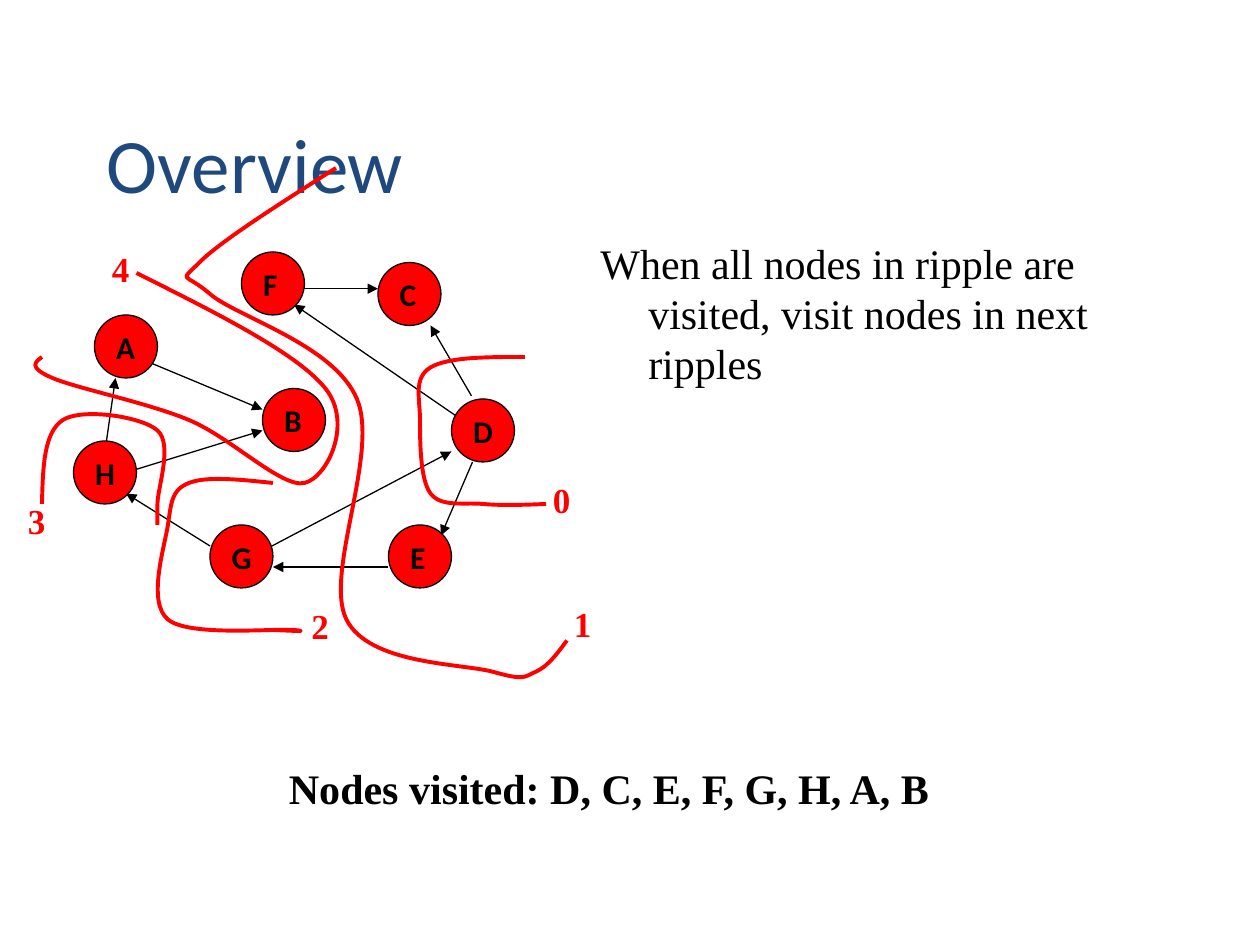
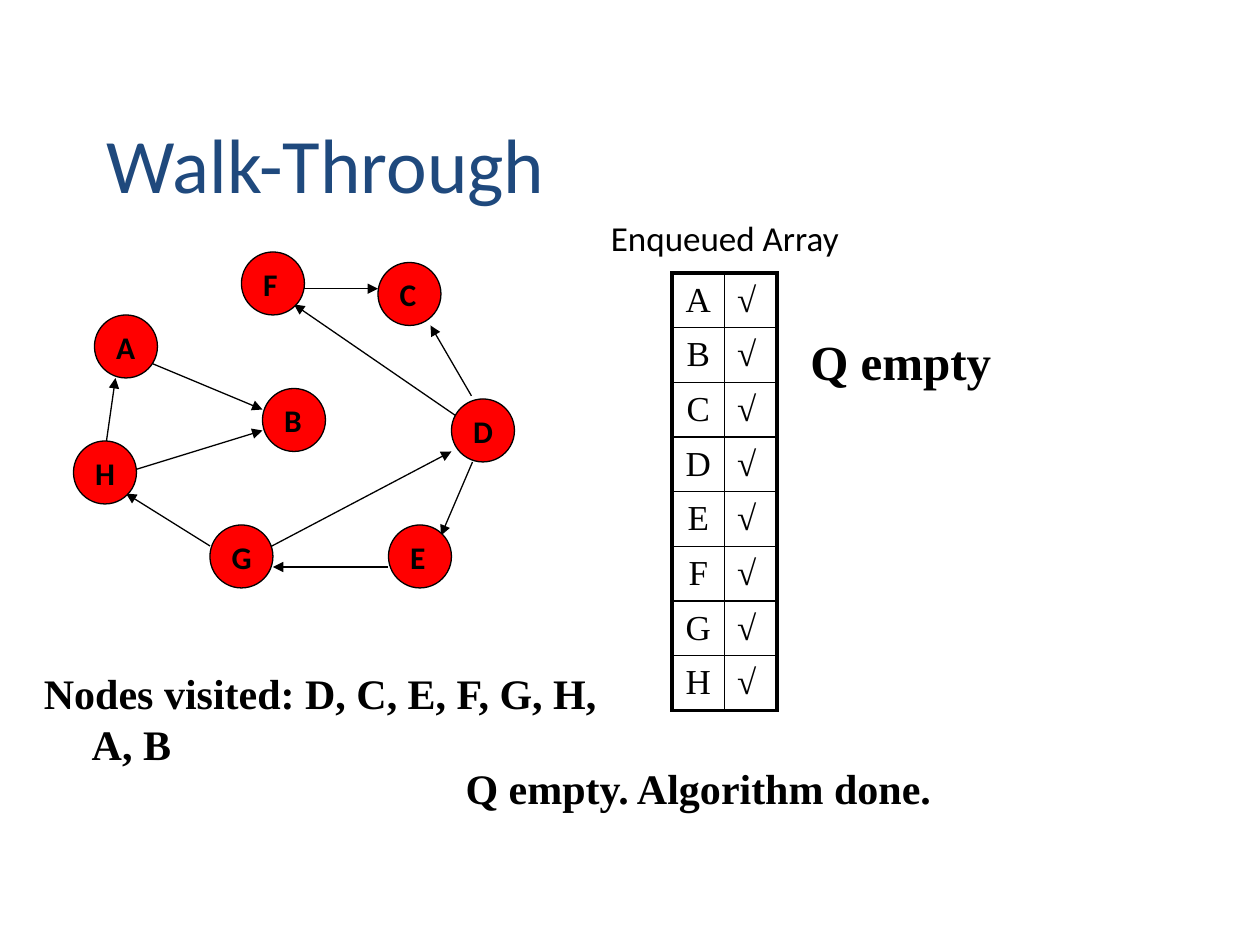
from dataclasses import dataclass

from lxml import etree
from pptx import Presentation
from pptx.dml.color import RGBColor
from pptx.enum.shapes import MSO_CONNECTOR, MSO_SHAPE
from pptx.enum.text import MSO_ANCHOR, PP_ALIGN
from pptx.oxml.ns import qn
from pptx.util import Inches, Pt

BLACK = RGBColor(0x00, 0x00, 0x00)
RED = RGBColor(0xFF, 0x00, 0x00)
TITLE_BLUE = RGBColor(0x1F, 0x49, 0x7D)
SANS, SERIF = "Calibri", "Times New Roman"
OVAL, STRAIGHT = MSO_SHAPE.OVAL, MSO_CONNECTOR.STRAIGHT
MIDDLE, TOP = MSO_ANCHOR.MIDDLE, MSO_ANCHOR.TOP
LEFT, CENTER = PP_ALIGN.LEFT, PP_ALIGN.CENTER

WIDTH, HEIGHT = Inches(10), Inches(7.5)
COLUMNS, ROWS = 120, 90
NODE_SIZE = 6
HANGING = Inches(0.38)
THIN, THICK = Pt(1), Pt(2.25)

NODES = {
    "A": (9, 14), "H": (7, 26), "B": (25, 21), "F": (23, 8),
    "E": (37, 34), "D": (43, 22), "C": (36, 9), "G": (20, 34),
}
EDGES = [
    ((44, 24), (28, 13)), ((45, 28), (42, 35)), ((12, 29), (25, 25)),
    ((24, 37), (43, 27)), ((10, 27), (11, 20)), ((13, 18), (25, 23)),
    ((44.9, 21.7), (41, 15)), ((37, 38), (26, 38)),
    ((20, 36), (12, 31)), ((29, 11.5), (36, 11.5)),
]
RIPPLES = {
    "0": ((51, 29), [(50, 18), (41, 19), (40, 24), (41, 31), (46, 32), (52, 32)]),
    "1": ((53, 40.8), [(32, 0), (19, 9), (20, 12), (34, 22), (33, 43),
                       (47, 48), (51, 48), (54, 45)]),
    "2": ((28, 41), [(26, 30), (18, 30), (16, 34), (16, 43), (28, 44), (26, 44)]),
    "3": ((1, 31), [(4, 32), (6, 24), (15, 25), (15, 32), (15, 34)]),
    "4": ((9, 7), [(13, 10), (31, 21), (29, 30), (18, 24), (5, 20), (4, 18)]),
}
VISITED = "Nodes visited: D, C, E, F, G, H, A, B"


@dataclass
class Box:
    """A region measured in grid columns and rows."""

    left: float
    top: float
    width: float
    height: float

    def inner(self, left, top, width, height):
        """Return a box placed relative to this one."""
        return Box(self.left + left, self.top + top, width, height)

    def point(self, x, y):
        """Return the slide position of a point inside this box."""
        return (round((self.left + x) * WIDTH / COLUMNS),
                round((self.top + y) * HEIGHT / ROWS))

    def frame(self):
        """Return left, top, width and height as slide lengths."""
        return (*self.point(0, 0), round(self.width * WIDTH / COLUMNS),
                round(self.height * HEIGHT / ROWS))


TITLE_BOX = Box(9, 8, 102, 15)
GRAPH_BOX = Box(0, 16, 60, 50)


def format_text(frame, text, font, size, color, bold=False, align=LEFT,
                before=0, hanging=False):
    """Write one formatted paragraph into a text frame."""
    frame.text = text
    paragraph = frame.paragraphs[0]
    paragraph.alignment = align
    style = paragraph.runs[0].font
    style.name, style.size, style.bold = font, Pt(size), bold
    style.color.rgb = color
    properties = paragraph._p.get_or_add_pPr()
    if hanging:
        properties.set("marL", str(HANGING))
        properties.set("indent", str(-HANGING))
    if before:
        spacing = etree.SubElement(properties, qn("a:spcBef"))
        etree.SubElement(spacing, qn("a:spcPct")).set("val", str(before * 1000))


def add_text(slide, box, text, font, size, color=BLACK, anchor=TOP, **style):
    """Add a wrapping text box."""
    frame = slide.shapes.add_textbox(*box.frame()).text_frame
    frame.word_wrap = True
    frame.vertical_anchor = anchor
    format_text(frame, text, font, size, color, **style)


def add_note(slide, box, text, size=24, color=BLACK, bold=True, align=LEFT):
    """Add a serif note with a hanging indent."""
    add_text(slide, box, text, SERIF, size, color, bold=bold, align=align,
             before=50, hanging=True)


def add_edge(slide, box, start, end):
    """Draw one arrow of the graph."""
    edge = slide.shapes.add_connector(STRAIGHT, *box.point(*start), *box.point(*end))
    edge.line.color.rgb = BLACK
    edge.line.width = Pt(0.75)
    properties = edge._element.spPr
    etree.SubElement(properties.find(qn("a:ln")), qn("a:tailEnd")).set("type", "triangle")
    etree.SubElement(properties, qn("a:effectLst"))


def add_node(slide, box, letter):
    """Draw one lettered node."""
    node = slide.shapes.add_shape(OVAL, *box.frame())
    node.shadow.inherit = False
    node.fill.solid()
    node.fill.fore_color.rgb = RED
    node.line.color.rgb = BLACK
    node.line.width = Pt(0.75)
    node.text_frame.word_wrap = False
    node.text_frame.vertical_anchor = MIDDLE
    format_text(node.text_frame, letter, SANS, 18, BLACK, bold=True)


def add_graph(slide, box):
    """Draw the directed graph inside a box."""
    for start, end in EDGES:
        add_edge(slide, box, start, end)
    for letter, corner in NODES.items():
        add_node(slide, box.inner(*corner, NODE_SIZE, NODE_SIZE), letter)


def middle(first, second):
    """Return the point halfway between two points."""
    return tuple((a + b) / 2 for a, b in zip(first, second))


def smooth_points(anchors):
    """Return the control and end points of a smooth curve through anchors."""
    handles = []
    for before, here, after in zip(anchors, anchors[1:], anchors[2:]):
        slope = [(b - a) / 6 for a, b in zip(before, after)]
        handles.append((tuple(p - s for p, s in zip(here, slope)),
                        tuple(p + s for p, s in zip(here, slope))))
    leaving = [middle(anchors[0], handles[0][0])] + [h[1] for h in handles]
    arriving = [h[0] for h in handles] + [middle(handles[-1][1], anchors[-1])]
    return [point for segment in zip(leaving, arriving, anchors[1:]) for point in segment]


def add_curve(slide, box, anchors):
    """Draw a smooth red open curve through anchors."""
    builder = slide.shapes.build_freeform(*box.point(*anchors[0]))
    builder.add_line_segments([box.point(*p) for p in smooth_points(anchors)], close=False)
    curve = builder.convert_to_shape()
    curve.shadow.inherit = False
    curve.fill.background()
    curve.line.color.rgb = RED
    curve.line.width = THICK
    outline = next(curve._element.iter(qn("a:path")))
    segments = outline.findall(qn("a:lnTo"))
    for index in range(0, len(segments), 3):
        bezier = etree.SubElement(outline, qn("a:cubicBezTo"))
        for segment in segments[index:index + 3]:
            bezier.append(segment[0])
            outline.remove(segment)


def add_ripples(slide, box):
    """Draw the numbered ripples over the graph."""
    for number, (corner, anchors) in RIPPLES.items():
        add_curve(slide, box, anchors)
        add_note(slide, box.inner(*corner, 5, 5.2), number, 20, RED, align=CENTER)


def set_borders(cell, widths):
    """Give a cell black borders of the given widths."""
    properties = cell._tc.get_or_add_tcPr()
    for side, width in widths.items():
        border = etree.SubElement(properties, qn(f"a:ln{side}"))
        border.set("w", str(width))
        fill = etree.SubElement(border, qn("a:solidFill"))
        etree.SubElement(fill, qn("a:srgbClr")).set("val", str(BLACK))


def add_enqueued_array(slide, box):
    """Add the heading and table of enqueued nodes."""
    add_text(slide, box.inner(0, 0, 25, 5.2), "Enqueued Array", SANS, 20, before=50)
    letters = sorted(NODES)
    last = len(letters) - 1
    table_box = box.inner(7, 6, 10, 5.2 * len(letters))
    table = slide.shapes.add_table(len(letters), 2, *table_box.frame()).table
    table.first_row = table.horz_banding = False
    for row, letter in enumerate(letters):
        for column, (text, align) in enumerate(((letter, CENTER), ("√", LEFT))):
            cell = table.cell(row, column)
            cell.vertical_anchor = MIDDLE
            format_text(cell.text_frame, text, SERIF, 20, BLACK, align=align, before=20)
            set_borders(cell, {
                "L": THICK if column == 0 else THIN,
                "R": THICK if column == 1 else THIN,
                "T": THICK if row == 0 else THIN,
                "B": THICK if row == last else THIN,
            })
            cell.fill.background()


def add_graph_slide(deck, title):
    """Add a blank slide with the shared title and graph."""
    slide = deck.slides.add_slide(deck.slide_layouts[6])
    add_graph(slide, GRAPH_BOX)
    add_text(slide, TITLE_BOX, title, SANS, 44, TITLE_BLUE, anchor=MIDDLE)
    return slide


def build_overview(deck):
    """Build the slide that shows the ripples."""
    slide = add_graph_slide(deck, "Overview")
    add_note(slide, Box(20, 72, 76, 6), VISITED, align=CENTER)
    add_note(slide, Box(56, 22, 50, 15.6),
             "When all nodes in ripple are visited, visit nodes in next ripples", bold=False)
    add_ripples(slide, GRAPH_BOX)


def build_walk_through(deck):
    """Build the slide that shows the finished queue."""
    slide = add_graph_slide(deck, "Walk-Through")
    add_enqueued_array(slide, Box(57, 20, 25, 48))
    add_note(slide, Box(20, 72, 93, 6), "Q empty. Algorithm done.", align=CENTER)
    add_note(slide, Box(76, 31, 41, 6.8), "Q empty", 28)
    add_note(slide, Box(3, 63, 59, 10.8), VISITED)


def main():
    """Build and save the deck."""
    deck = Presentation()
    deck.slide_width, deck.slide_height = WIDTH, HEIGHT
    build_overview(deck)
    build_walk_through(deck)
    deck.save("out.pptx")


if __name__ == "__main__":
    main()
